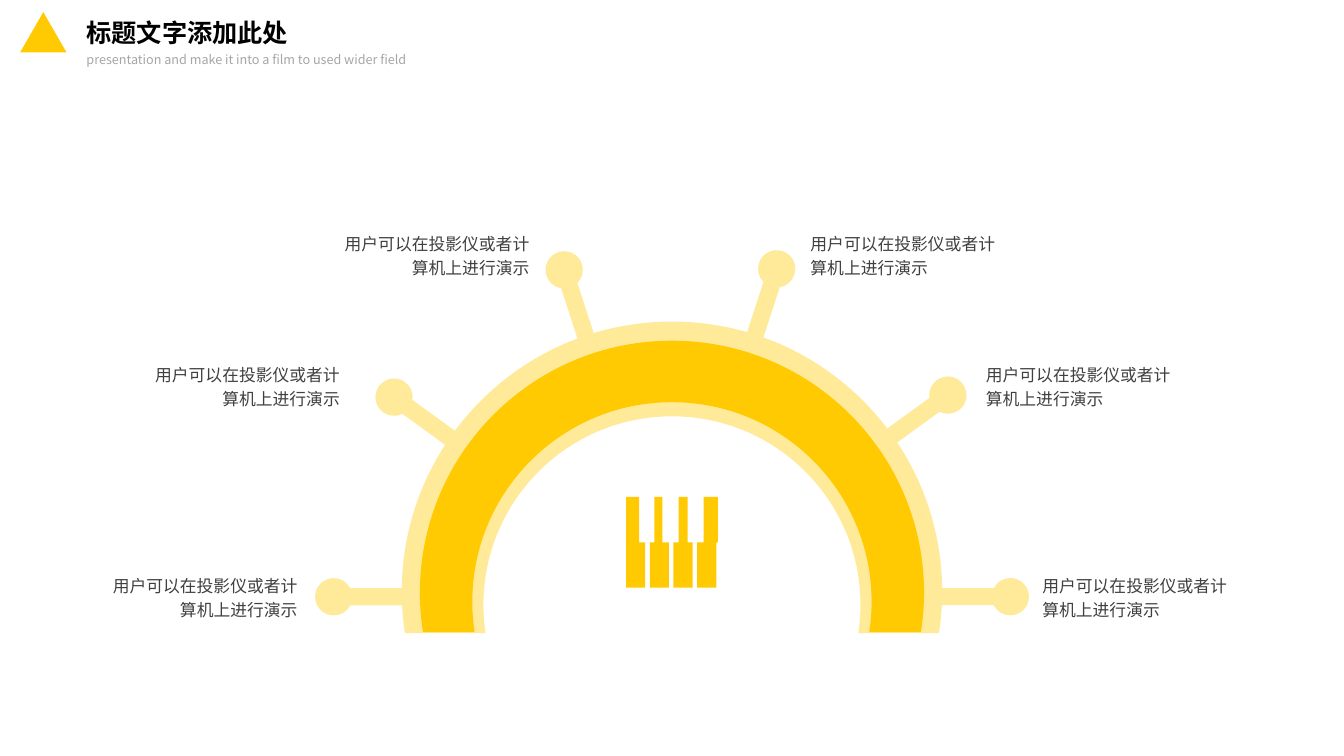
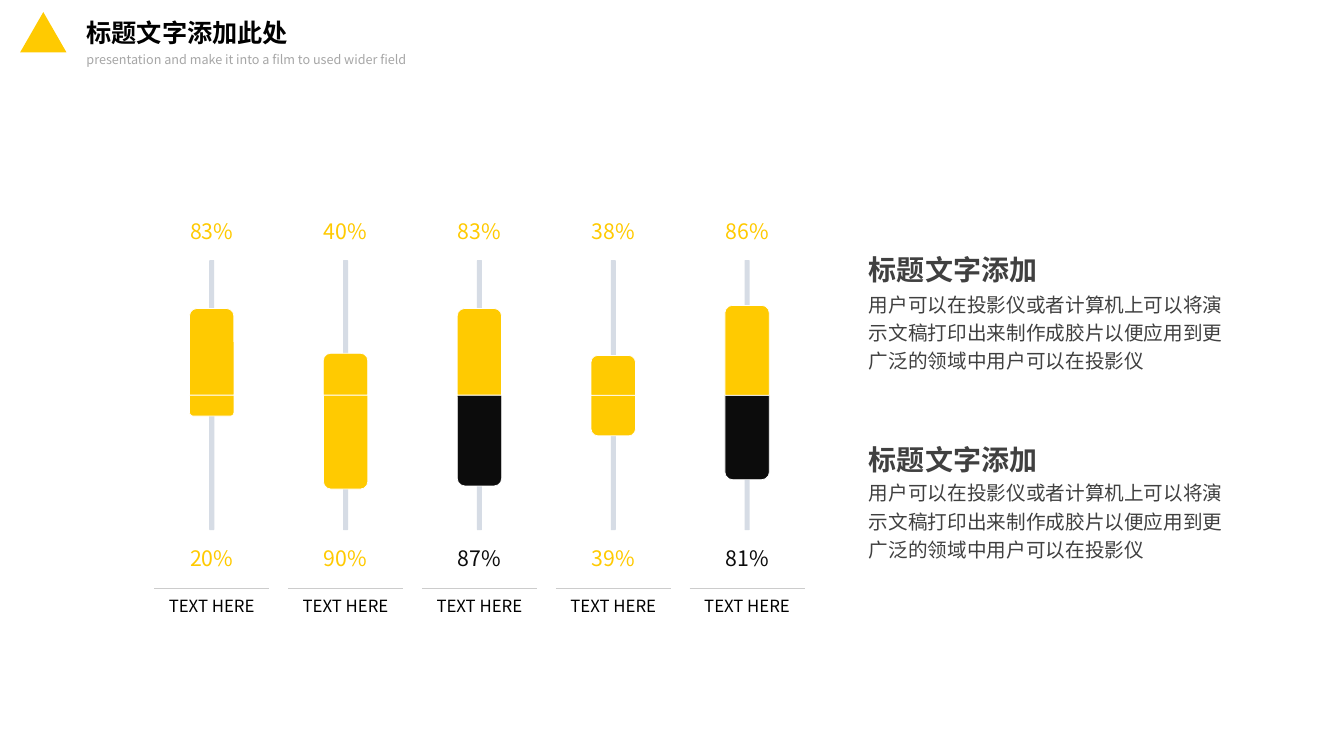
from math import asin, cos, pi, sin, tan

from lxml import etree
from pptx import Presentation
from pptx.dml.color import RGBColor
from pptx.enum.shapes import MSO_CONNECTOR, MSO_SHAPE
from pptx.enum.text import MSO_ANCHOR, PP_ALIGN
from pptx.oxml.ns import qn
from pptx.util import Inches, Pt

FONT = "Noto Sans CJK SC"
YELLOW, PALE, BLACK = "FFCA01", "FFEA99", "0C0C0C"
TEXT, SUBTITLE, TRACK, RULE = "404040", "A6A6A6", "D6DCE5", "CCCCCC"
SLIDE_WIDTH, SLIDE_HEIGHT = 13.33, 7.5

SPOKE_TEXT = "用户可以在投影仪或者计算机上进行演示"
# Angle clockwise from the top, left and top of the spoke, left and top of its label
SPOKES = [
    (-90, 3.38, 5.48, 0.91, 5.62), (-54, 3.93, 3.65, 1.33, 3.53),
    (-18, 5.49, 2.48, 3.21, 2.23), (18, 7.44, 2.47, 7.94, 2.23),
    (54, 9.01, 3.63, 9.68, 3.53), (90, 9.58, 5.48, 10.24, 5.62),
]
# Upper and lower percentage, then colour of the lower bar
COLUMNS = [
    (83, 20, YELLOW), (40, 90, YELLOW), (83, 87, BLACK),
    (38, 39, YELLOW), (86, 81, BLACK),
]
BODY_TEXT = ("用户可以在投影仪或者计算机上可以将演示文稿打印出来制作成胶片"
             "以便应用到更广泛的领域中用户可以在投影仪")


def colour(value):
    return RGBColor.from_string(value)


def paint(shape, fill, line=None):
    shape.shadow.inherit = False
    shape.fill.solid()
    shape.fill.fore_color.rgb = colour(fill)
    if line:
        shape.line.color.rgb = colour(line)
        shape.line.width = Pt(0.5)
    else:
        shape.line.fill.background()
    return shape


def add_preset(slide, preset, left, top, width, height, fill, line=None):
    shape = slide.shapes.add_shape(
        preset, Inches(left), Inches(top), Inches(width), Inches(height))
    return paint(shape, fill, line)


def add_outline(slide, contours, fill):
    """Draw closed contours as one shape.

    A contour is a list of segments in inches: one point for a line,
    three for a curve. Its first segment is the starting point.
    """
    def emu(segment):
        return [(Inches(x), Inches(y)) for x, y in segment]

    builder = slide.shapes.build_freeform(*emu(contours[0][0])[0])
    for index, (start, *segments) in enumerate(contours):
        if index:
            builder.move_to(*emu(start)[0])
        points = [point for segment in segments for point in emu(segment)]
        builder.add_line_segments(points, close=True)
    shape = builder.convert_to_shape()

    lines = iter(list(shape._element.iter(qn("a:lnTo"))))
    for segment in (part for contour in contours for part in contour[1:]):
        first, *others = [next(lines) for _ in segment]
        if others:
            first.tag = qn("a:cubicBezTo")
        for line in others:
            first.append(line[0])
            line.getparent().remove(line)
    return paint(shape, fill)


def add_text(slide, text, left, top, width, height, size, text_colour=TEXT,
             bold=False, align=PP_ALIGN.LEFT, anchor=MSO_ANCHOR.TOP,
             spacing=None, wrap=True):
    box = slide.shapes.add_textbox(
        Inches(left), Inches(top), Inches(width), Inches(height))
    frame = box.text_frame
    frame.word_wrap = wrap
    frame.vertical_anchor = anchor
    paragraph = frame.paragraphs[0]
    paragraph.alignment = align
    if spacing:
        paragraph.line_spacing = spacing
    run = paragraph.add_run()
    run.text = text
    run.font.size = Pt(size)
    run.font.bold = bold
    run.font.color.rgb = colour(text_colour)
    run.font.name = FONT
    east_asian = etree.SubElement(run.font._element, qn("a:ea"))
    east_asian.set("typeface", FONT)


def add_rule(slide, left, top, width):
    line = slide.shapes.add_connector(
        MSO_CONNECTOR.STRAIGHT, Inches(left), Inches(top),
        Inches(left + width), Inches(top))
    line.line.color.rgb = colour(RULE)
    line.line.width = Pt(0.25)
    etree.SubElement(line._element.spPr, qn("a:effectLst"))


def add_header(slide, left=0.2, top=0.12):
    add_preset(slide, MSO_SHAPE.ISOSCELES_TRIANGLE, left, top, 0.46, 0.4, YELLOW)
    add_text(slide, "标题文字添加此处", left + 0.56, top, 2.22, 0.4, 18,
             "000000", bold=True, wrap=False)
    add_text(slide, "presentation and make it into a film to used wider field",
             left + 0.56, top + 0.32, 4.23, 0.26, 9, SUBTITLE, spacing=1.14)


def arc_segments(x, y, radius, reach):
    """Start point and curves over the top of a circle, from -reach to reach."""
    side = pi / 2 if reach > 0 else -pi / 2
    angles = [-reach, -side, 0, side, reach]

    def point(angle, offset=0):
        return (x + radius * (sin(angle) + offset * cos(angle)),
                y - radius * (cos(angle) - offset * sin(angle)))

    segments = [[point(-reach)]]
    for start, end in zip(angles, angles[1:]):
        handle = 4 / 3 * tan((end - start) / 4)
        segments.append([point(start, handle), point(end, -handle), point(end)])
    return segments


def add_arch(slide, x, outer, inner, base, fill):
    """Draw the band between two circles (centre height, radius) above base."""
    def edge(centre_y, radius, direction):
        reach = pi / 2 + asin((base - centre_y) / radius)
        return arc_segments(x, centre_y, radius, direction * reach)

    add_outline(slide, [edge(*outer, 1) + edge(*inner, -1)], fill)


def add_spoke(slide, left, top, angle):
    """Draw a knob on a stem, turned about the middle of its box."""
    width, height, stem = 0.37, 0.88, 0.17
    radius, x, bottom = width / 2, left + width / 2, top + height
    knob = arc_segments(x, top + radius, radius, pi - asin(stem / width))
    stem_end = [[(x + stem / 2, bottom)], [(x - stem / 2, bottom)]]
    add_outline(slide, [knob + stem_end], PALE).rotation = angle % 360


def add_piano_keys(slide, left, top):
    pitch, width, middle, bottom = 0.235, 0.19, top + 0.45, top + 0.9
    necks = [(0, 0.13), (0.28, 0.36), (0.52, 0.61), (0.77, 0.91)]
    keys = []
    for index, (neck_left, neck_right) in enumerate(necks):
        key_left = left + index * pitch
        key_right = key_left + width
        neck_left, neck_right = left + neck_left, left + neck_right
        corners = [
            (neck_left, top), (neck_right, top), (neck_right, middle),
            (key_right, middle), (key_right, bottom), (key_left, bottom),
            (key_left, middle), (neck_left, middle),
        ]
        keys.append([[corner] for corner in corners])
    add_outline(slide, keys, YELLOW)


def build_wheel_slide(slide):
    x = SLIDE_WIDTH / 2
    add_arch(slide, x, (5.87, 2.68), (6, 1.87), 6.28, PALE)
    add_arch(slide, x, (5.88, 2.5), (5.97, 1.98), 6.27, YELLOW)
    for angle, left, top, label_left, label_top in SPOKES:
        add_spoke(slide, left, top, angle)
        align = PP_ALIGN.RIGHT if angle < 0 else PP_ALIGN.LEFT
        add_text(slide, SPOKE_TEXT, label_left, label_top, 2.14, 0.59, 12,
                 align=align, spacing=1.2)
    add_piano_keys(slide, 6.21, 4.93)
    add_header(slide)


def add_bar_column(slide, left, top, upper, lower, lower_colour):
    """Draw one track with a bar above and a bar below its middle."""
    width, bar_width, track_width, full = 1.14, 0.44, 0.05, 1.035
    centre, middle = left + width / 2, top + 1.8
    bar_left = centre - bar_width / 2
    add_preset(slide, MSO_SHAPE.ROUNDED_RECTANGLE, centre - track_width / 2,
               middle - 1.34, track_width, 2.68, TRACK)
    upper_height, lower_height = (full * value / 100 for value in (upper, lower))
    bar = MSO_SHAPE.ROUND_2_SAME_RECTANGLE
    add_preset(slide, bar, bar_left, middle, bar_width, lower_height,
               lower_colour, "FFFFFF").rotation = 180
    add_preset(slide, bar, bar_left, middle - upper_height, bar_width,
               upper_height, YELLOW, "FFFFFF")
    labels = [
        (f"{upper}%", 0.01, 0.33, 15.2, YELLOW, MSO_ANCHOR.MIDDLE),
        (f"{lower}%", 3.26, 0.33, 15.2, lower_colour, MSO_ANCHOR.BOTTOM),
        ("TEXT HERE", 3.74, 0.3, 12, "000000", MSO_ANCHOR.TOP),
    ]
    for text, offset, height, size, text_colour, anchor in labels:
        add_text(slide, text, left, top + offset, width, height, size, text_colour,
                 align=PP_ALIGN.CENTER, anchor=anchor, wrap=False)
    add_rule(slide, left, top + 3.72, width)


def add_text_block(slide, left, title_top, body_top):
    add_text(slide, BODY_TEXT, left, body_top, 3.78, 0.95, 14, spacing=1.2)
    add_text(slide, "标题文字添加", left, title_top, 2.28, 0.48, 20,
             bold=True, spacing=1.2)


def build_bars_slide(slide):
    pitch = 5.31 / (len(COLUMNS) - 1)
    for index, column in enumerate(COLUMNS):
        add_bar_column(slide, 1.53 + index * pitch, 2.12, *column)
    for title_top, body_top in ((2.39, 2.81), (4.27, 4.68)):
        add_text_block(slide, 8.52, title_top, body_top)
    add_header(slide)


def main():
    presentation = Presentation()
    presentation.slide_width = Inches(SLIDE_WIDTH)
    presentation.slide_height = Inches(SLIDE_HEIGHT)
    for build in (build_wheel_slide, build_bars_slide):
        build(presentation.slides.add_slide(presentation.slide_layouts[6]))
    presentation.save("out.pptx")


if __name__ == "__main__":
    main()
